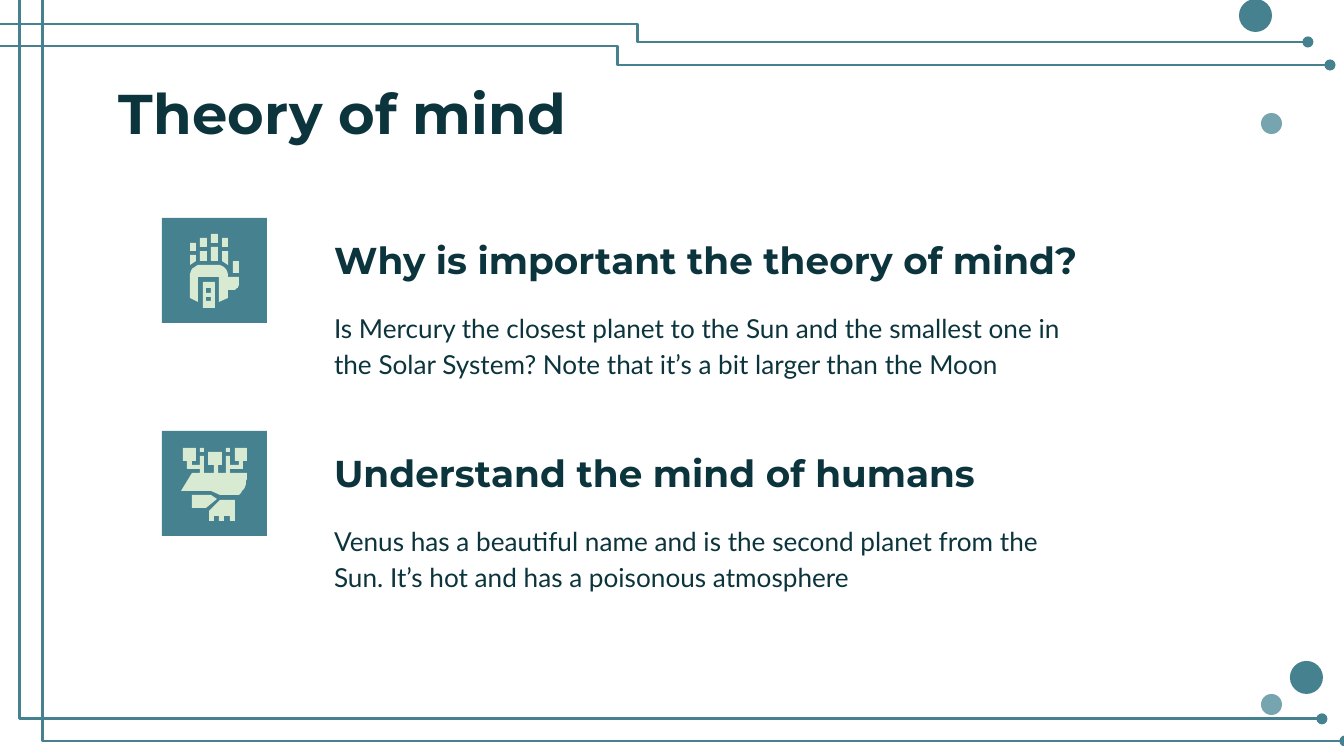
from pptx import Presentation
from pptx.dml.color import RGBColor
from pptx.enum.shapes import MSO_CONNECTOR, MSO_SHAPE
from pptx.enum.text import MSO_ANCHOR
from pptx.oxml.ns import qn
from pptx.util import Pt
from lxml.etree import SubElement

PX = 914400 / 134.4
TEAL = RGBColor(0x45, 0x81, 0x8E)
LIGHT_TEAL = RGBColor(0x76, 0xA5, 0xAF)
INK = RGBColor(0x0C, 0x34, 0x3D)
MINT = RGBColor(0xD9, 0xEA, 0xD3)

TRACES = [
    ((9, -87), (1322, 719), 20),
    ((-32, 24), (1308, 42), 638),
    ((-9, 46), (1330, 65), 618),
    ((32, -65), (1345, 741), 42),
]
DOTS = [
    (1261, 694, 21, LIGHT_TEAL),
    (1290, 661, 33, TEAL),
    (1261, 113, 21, LIGHT_TEAL),
    (1239, -1, 33, TEAL),
]
TOPICS = [
    ("Why is important the theory of mind?",
     "Is Mercury the closest planet to the Sun and the smallest one in "
     "the Solar System? Note that it’s a bit larger than the Moon"),
    ("Understand the mind of humans",
     "Venus has a beautiful name and is the second planet from the Sun. "
     "It’s hot and has a poisonous atmosphere"),
]
TOPIC_TOP, TOPIC_STEP = 218, 213

HAND_BARS = [
    (190, 243, 6, 8), (200, 238, 7, 9), (211, 234, 7, 9), (222, 238, 6, 9),
    (200, 251, 7, 10), (211, 247, 7, 14), (233, 261, 6, 12),
]
FINGERTIPS = [
    [(190, 255), (190, 265), (196, 261), (196, 255)],
    [(222, 251), (222, 261), (228, 265), (228, 251)],
]
CIRCUIT_PADS = [(200, 448, 4, 4), (226, 448, 4, 4)]
CIRCUIT_HEAD = [
    (235, 448), (235, 461), (239, 461), (239, 465), (230, 465), (230, 456),
    (226, 456), (226, 473), (218, 473), (218, 465), (222, 465), (222, 452),
    (208, 452), (208, 465), (214, 465), (214, 473), (204, 473), (204, 456),
    (200, 456), (200, 465), (192, 465), (192, 461), (196, 461), (196, 448),
    (183, 448), (183, 461), (187, 461), (187, 469), (200, 469), (200, 473),
    (192, 473), (181, 491), (211, 491), (220, 495), (239, 495),
]
CIRCUIT_TAIL = [
    (247, 473), (230, 473), (230, 469), (243, 469), (243, 461), (247, 461),
    (247, 448),
]
FIST = [
    (220, 500), (209, 511), (209, 521), (214, 521), (214, 516), (219, 516),
    (219, 521), (224, 521), (224, 516), (230, 516), (230, 521), (235, 521),
    (235, 500),
]
THUMB = [(192, 495), (192, 508), (206, 508), (217, 499), (211, 495)]


def px(n):
    return round(n * PX)


def paint(sp, color):
    sp.shadow.inherit = False
    sp.fill.solid()
    sp.fill.fore_color.rgb = color
    sp.line.fill.background()


def add_block(shapes, kind, x, y, w, h, color):
    sp = shapes.add_shape(kind, px(x), px(y), px(w), px(h))
    paint(sp, color)


def add_outline(shapes, *contours):
    fb = shapes.build_freeform(*contours[0][0], scale=PX)
    fb.add_line_segments(contours[0][1:])
    for contour in contours[1:]:
        fb.move_to(*contour[0])
        fb.add_line_segments(contour[1:])
    paint(fb.convert_to_shape(), MINT)


def curve(a, b, c, d, steps=8):
    points = []
    for i in range(steps + 1):
        t = i / steps
        u = 1 - t
        points.append(tuple(
            round(u**3 * a[k] + 3 * u * u * t * b[k]
                  + 3 * u * t * t * c[k] + t**3 * d[k], 2)
            for k in (0, 1)))
    return points


def box(x, y, w, h):
    return [(x, y), (x + w, y), (x + w, y + h), (x, y + h)]


def add_trace(shapes, begin, end, bend):
    cn = shapes.add_connector(MSO_CONNECTOR.ELBOW, *map(px, begin + end))
    cn.line.color.rgb = TEAL
    cn.line.width = Pt(1.5)
    sppr = cn._element.spPr
    guides = sppr.find(qn("a:prstGeom")).get_or_add_avLst()
    ratio = (bend - begin[0]) / (end[0] - begin[0])
    SubElement(guides, qn("a:gd"), name="adj1", fmla=f"val {round(ratio * 100000)}")
    SubElement(sppr.find(qn("a:ln")), qn("a:tailEnd"), type="oval")
    SubElement(sppr, qn("a:effectLst"))


def add_text(shapes, text, x, y, w, h, *, size, font="Montserrat", bold=True,
             spacing=1.15, anchor=MSO_ANCHOR.TOP):
    tf = shapes.add_textbox(px(x), px(y), px(w), px(h)).text_frame
    tf.word_wrap = True
    tf.vertical_anchor = anchor
    tf.margin_left = tf.margin_right = tf.margin_top = tf.margin_bottom = px(13)
    p = tf.paragraphs[0]
    p.line_spacing = spacing
    r = p.add_run()
    r.text = text
    r.font.name = font
    r.font.size = Pt(size)
    r.font.bold = bold
    r.font.color.rgb = INK


def add_hand_icon(shapes):
    add_outline(shapes, box(203, 282, 12, 26), box(206, 288, 5, 5), box(206, 297, 5, 4))
    for bar in HAND_BARS:
        add_block(shapes, MSO_SHAPE.RECTANGLE, *bar, MINT)
    for tip in FINGERTIPS:
        add_outline(shapes, tip)
    palm = (curve((200, 265), (195, 265), (190, 269), (190, 276))
            + [(190, 298), (198, 302), (198, 277), (219, 277), (219, 302),
               (228, 298), (228, 290)]
            + curve((233, 290), (236, 290), (239, 288), (239, 284))
            + [(239, 277), (228, 277)]
            + curve((228, 276), (228, 269), (224, 265), (218, 265)))
    add_outline(shapes, palm)


def add_circuit_icon(shapes):
    side = curve((239, 495), (244, 491), (247, 483), (247, 476))
    add_outline(shapes, CIRCUIT_HEAD + side + CIRCUIT_TAIL)
    for pad in CIRCUIT_PADS:
        add_block(shapes, MSO_SHAPE.RECTANGLE, *pad, MINT)
    add_outline(shapes, FIST)
    add_outline(shapes, THUMB)


def main():
    prs = Presentation()
    prs.slide_width, prs.slide_height = px(1344), px(756)
    s = prs.slides.add_slide(prs.slide_layouts[6])
    for trace in TRACES:
        add_trace(s.shapes, *trace)
    for x, y, d, color in DOTS:
        add_block(s.shapes, MSO_SHAPE.OVAL, x, y, d, d, color)
    add_text(s.shapes, "Theory of mind", 106, 66, 1133, 85, size=30, spacing=1.0)
    icons = [add_hand_icon, add_circuit_icon]
    for i, ((heading, body), add_icon) in enumerate(zip(TOPICS, icons)):
        top = TOPIC_TOP + i * TOPIC_STEP
        add_block(s.shapes, MSO_SHAPE.RECTANGLE, 162, top, 105, 105, TEAL)
        add_text(s.shapes, heading, 321, top + 23, 771, 54, size=20,
                 anchor=MSO_ANCHOR.BOTTOM)
        add_text(s.shapes, body, 321, top + 77, 771, 92, size=14, font="Lato",
                 bold=False)
        add_icon(s.shapes.add_group_shape().shapes)
    prs.save("out.pptx")


if __name__ == "__main__":
    main()
